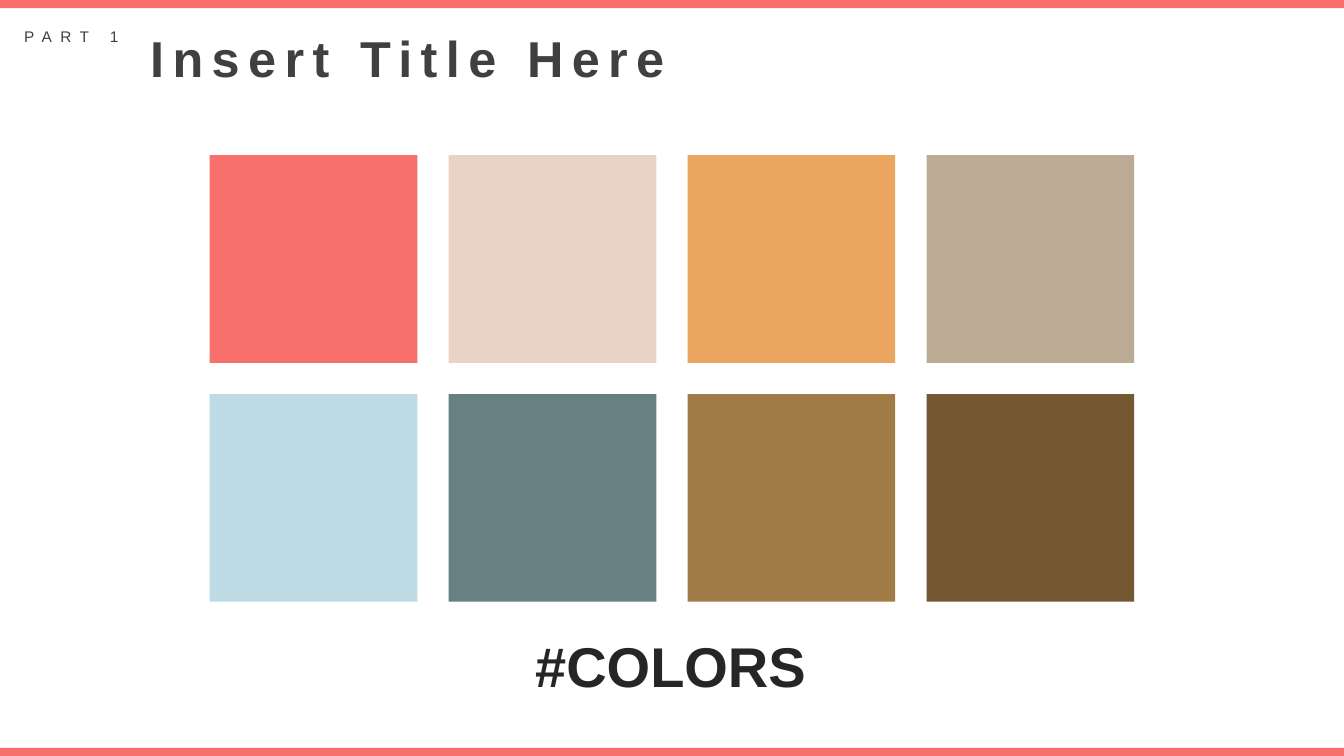
from dataclasses import dataclass

from pptx import Presentation
from pptx.dml.color import RGBColor
from pptx.enum import shapes, text
from pptx.util import Inches, Pt


@dataclass(frozen=True)
class Theme:
    font: str = "Arial"
    accent: str = "F86F6C"
    heading: str = "404040"
    caption: str = "262626"
    title_size: int = 36
    caption_size: int = 40
    part_size: int = 11
    spacing: int = 6  # points between letters


@dataclass(frozen=True)
class Box:
    left: float
    top: float
    width: float
    height: float


@dataclass(frozen=True)
class Label:
    words: str
    box: Box
    size: int
    color: str
    bold: bool = False
    spacing: int = 0


THEME = Theme()
SLIDE_W, SLIDE_H = 13.33, 7.5
BAR_H = 0.08

# Swatch grid
SWATCHES = (
    ("F86F6C", "E9D3C6", "EAA65F", "BBAB94"),
    ("BEDAE5", "688084", "A07B45", "735831"),
)
GRID_LEFT, GRID_TOP = 2.08, 1.54
SWATCH, PITCH = 2.06, 2.37

# Labels
TITLE = Label("Insert Title Here", Box(1.39, 0.22, 5.44, 0.71),
              THEME.title_size, THEME.heading, True, THEME.spacing)
PART = Label("PART 1", Box(0.14, 0.22, 1.25, 0.29),
             THEME.part_size, THEME.heading, spacing=THEME.spacing)
CAPTION = Label("#COLORS", Box(5.21, 6.22, 2.91, 0.77),
                THEME.caption_size, THEME.caption, True)


def place(sp, box: Box) -> None:
    sp.left, sp.top = Inches(box.left), Inches(box.top)
    sp.width, sp.height = Inches(box.width), Inches(box.height)


def add_rect(parent, box: Box, color: str) -> None:
    sp = parent.add_shape(shapes.MSO_SHAPE.RECTANGLE, Inches(box.left),
                          Inches(box.top), Inches(box.width), Inches(box.height))
    sp.shadow.inherit = False
    sp.fill.solid()
    sp.fill.fore_color.rgb = RGBColor.from_string(color)
    sp.line.fill.background()


def write_label(sp, label: Label) -> None:
    place(sp, label.box)
    tf = sp.text_frame
    tf.word_wrap = False
    tf.auto_size = text.MSO_AUTO_SIZE.SHAPE_TO_FIT_TEXT
    tf.vertical_anchor = text.MSO_ANCHOR.TOP
    p = tf.paragraphs[0]
    p.alignment = text.PP_ALIGN.LEFT
    r = p.add_run()
    r.text = label.words
    r.font.name = THEME.font
    r.font.size = Pt(label.size)
    r.font.bold = label.bold
    r.font.color.rgb = RGBColor.from_string(label.color)
    if label.spacing:
        r.font._element.set("spc", str(label.spacing * 100))


def add_label(slide, label: Label) -> None:
    write_label(slide.shapes.add_textbox(0, 0, 0, 0), label)


def main() -> None:
    prs = Presentation()
    prs.slide_width, prs.slide_height = Inches(SLIDE_W), Inches(SLIDE_H)
    slide = prs.slides.add_slide(prs.slide_layouts[5])  # Title Only

    # Colour swatches
    grid = slide.shapes.add_group_shape()
    for row, colors in enumerate(SWATCHES):
        for col, color in enumerate(colors):
            box = Box(GRID_LEFT + col * PITCH, GRID_TOP + row * PITCH, SWATCH, SWATCH)
            add_rect(grid.shapes, box, color)

    # Top and bottom bars
    for top in (0, SLIDE_H - BAR_H):
        add_rect(slide.shapes, Box(0, top, SLIDE_W, BAR_H), THEME.accent)

    # Title, part number and caption
    write_label(slide.shapes.title, TITLE)
    add_label(slide, PART)
    add_label(slide, CAPTION)

    prs.save("out.pptx")


if __name__ == "__main__":
    main()
